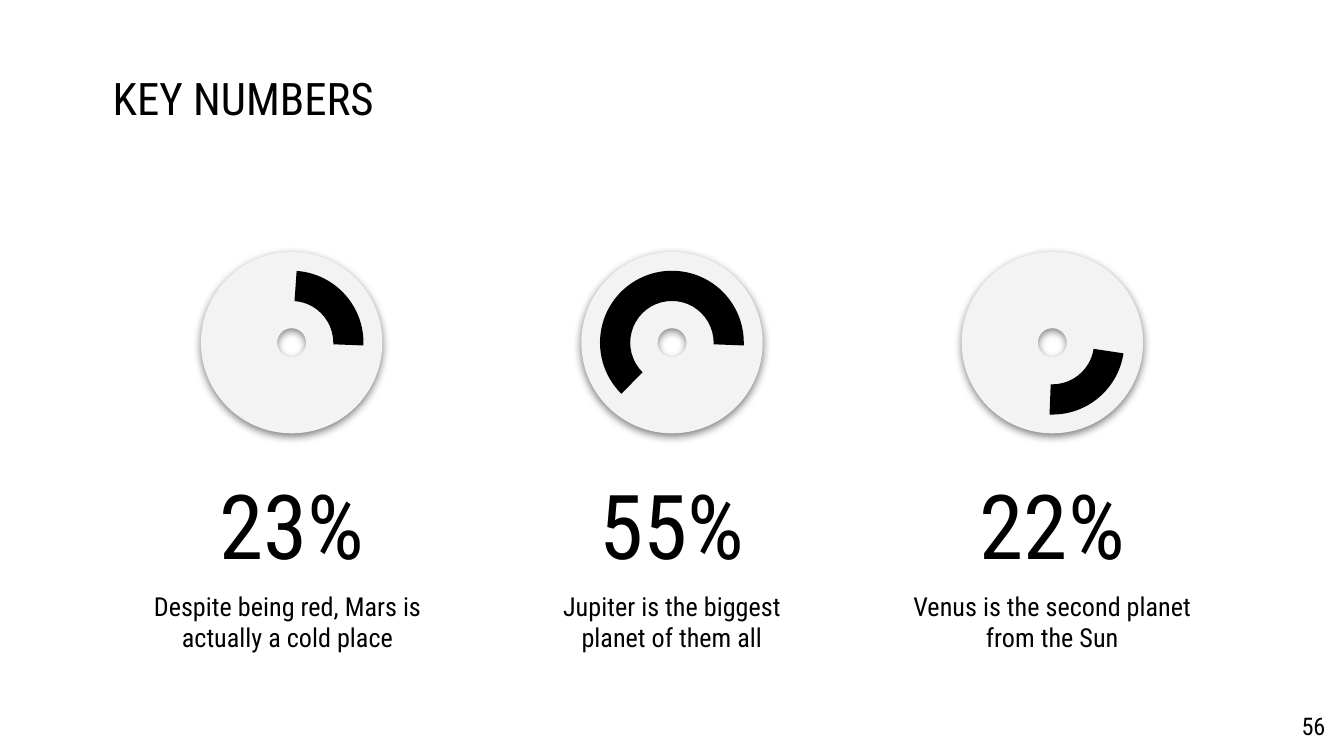
"""Build the key numbers slide with three ring gauges."""
from lxml import etree
from pptx import Presentation
from pptx.dml.color import RGBColor
from pptx.enum.shapes import MSO_SHAPE
from pptx.enum.text import MSO_ANCHOR, PP_ALIGN
from pptx.oxml import parse_xml
from pptx.oxml.ns import nsdecls, qn
from pptx.util import Inches, Pt

LEFT, CENTER, RIGHT = PP_ALIGN.LEFT, PP_ALIGN.CENTER, PP_ALIGN.RIGHT
TOP, BOTTOM = MSO_ANCHOR.TOP, MSO_ANCHOR.BOTTOM
DONUT, BLOCK_ARC = MSO_SHAPE.DONUT, MSO_SHAPE.BLOCK_ARC

FONT = "Roboto Condensed"
COLORS = {"ink": "000000", "disc": "F3F3F3", "background": "FFFFFF"}

TITLE = "KEY NUMBERS"
PAGE_NUMBER = "56"
KEY_NUMBERS = [
    {"value": "23%", "caption": "Despite being red, Mars is actually a cold place",
     "start": 274.03, "rotation": 0, "caption_shift": -0.03},
    {"value": "55%", "caption": "Jupiter is the biggest planet of them all",
     "start": 134.67, "rotation": 0, "caption_shift": 0},
    {"value": "22%", "caption": "Venus is the second planet from the Sun",
     "start": 278.56, "rotation": 90, "caption_shift": 0},
]

SLIDE_WIDTH = 10
SLIDE_HEIGHT = SLIDE_WIDTH * 9 / 16
COLUMN_STEP = 2.83
TEXT_WIDTH, TEXT_HEIGHT = 2.27, 0.89
VALUE_TOP, CAPTION_TOP = 3.51, 4.29
GAUGE_MIDDLE = 2.55
DISC_SIZE, ARC_SIZE = 1.35, 1.07
DISC_HOLE, ARC_THICKNESS = 0.42, 0.21
ARC_END = 2.26
ANGLE_UNIT = 0.6


def add_text(slide, text, *, left, top, width, height, size, align=LEFT, anchor=TOP):
    box = slide.shapes.add_textbox(Inches(left), Inches(top), Inches(width), Inches(height))
    frame = box.text_frame
    frame.word_wrap = True
    frame.vertical_anchor = anchor
    frame.margin_left = frame.margin_right = Inches(0.1)
    frame.margin_top = frame.margin_bottom = Inches(0.1)
    paragraph = frame.paragraphs[0]
    paragraph.text = text
    paragraph.alignment = align
    paragraph.font.name = FONT
    paragraph.font.size = Pt(size)
    paragraph.font.color.rgb = RGBColor.from_string(COLORS["ink"])


def add_round(group, kind, center, size, color, adjustments):
    shape = group.shapes.add_shape(
        kind, Inches(center - size / 2), Inches(GAUGE_MIDDLE - size / 2), Inches(size), Inches(size))
    shape.shadow.inherit = False
    shape.fill.solid()
    shape.fill.fore_color.rgb = RGBColor.from_string(COLORS[color])
    shape.line.fill.background()
    for index, adjustment in enumerate(adjustments):
        shape.adjustments[index] = adjustment
    return shape


def add_soft_shadow(shape):
    shadow = parse_xml(
        f'<a:outerShdw {nsdecls("a")} blurRad="{Pt(4.5)}" dist="{Pt(1.5)}" dir="5400000" '
        'algn="bl" rotWithShape="0"/>')
    color = etree.SubElement(shadow, qn("a:srgbClr"), val=COLORS["ink"])
    etree.SubElement(color, qn("a:alpha"), val="50000")
    shape.element.spPr.find(qn("a:effectLst")).append(shadow)


def add_gauge(slide, center, start, rotation):
    group = slide.shapes.add_group_shape()
    disc = add_round(group, DONUT, center, DISC_SIZE, "disc", [DISC_HOLE])
    add_soft_shadow(disc)
    arc = add_round(group, BLOCK_ARC, center, ARC_SIZE, "ink",
                    [start * ANGLE_UNIT, ARC_END * ANGLE_UNIT, ARC_THICKNESS])
    arc.rotation = rotation


def main():
    presentation = Presentation()
    presentation.slide_width = Inches(SLIDE_WIDTH)
    presentation.slide_height = Inches(SLIDE_HEIGHT)
    slide = presentation.slides.add_slide(presentation.slide_layouts[6])
    slide.background.fill.solid()
    slide.background.fill.fore_color.rgb = RGBColor.from_string(COLORS["background"])

    add_text(slide, TITLE, left=0.74, top=0.43, width=9.32, height=0.63, size=24)
    for column, item in enumerate(KEY_NUMBERS):
        center = SLIDE_WIDTH / 2 + (column - 1) * COLUMN_STEP
        left = center - TEXT_WIDTH / 2
        add_text(slide, item["value"], left=left, top=VALUE_TOP, width=TEXT_WIDTH,
                 height=TEXT_HEIGHT, size=48, align=CENTER, anchor=BOTTOM)
        add_text(slide, item["caption"], left=left + item["caption_shift"], top=CAPTION_TOP,
                 width=TEXT_WIDTH, height=TEXT_HEIGHT, size=14, align=CENTER)
        add_gauge(slide, center, item["start"], item["rotation"])
    add_text(slide, PAGE_NUMBER, left=9.36, top=5.19, width=0.6, height=0.43, size=13, align=RIGHT)

    presentation.save("out.pptx")


if __name__ == "__main__":
    main()
